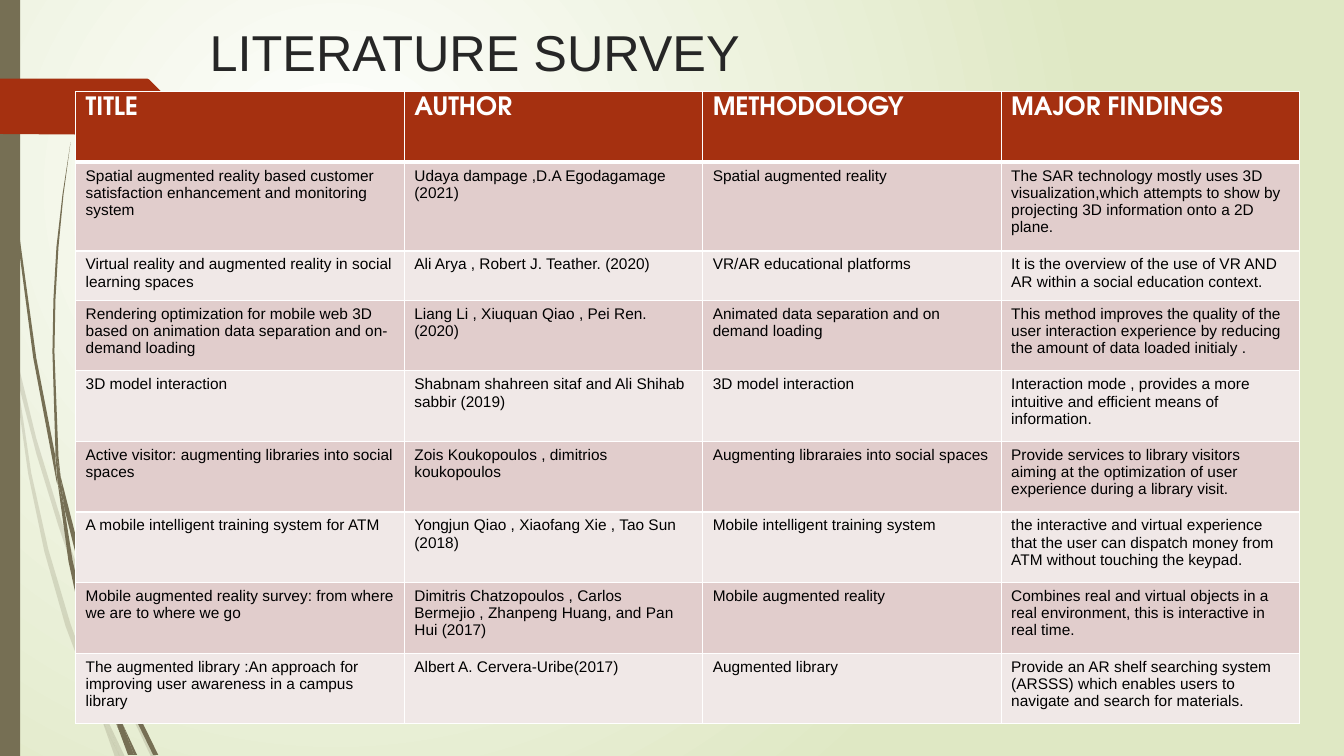
from lxml.etree import SubElement
from pptx import Presentation
from pptx.dml.color import RGBColor
from pptx.enum.shapes import MSO_SHAPE
from pptx.enum.text import MSO_ANCHOR, PP_ALIGN
from pptx.oxml import parse_xml
from pptx.oxml.ns import nsdecls, qn
from pptx.util import Inches, Pt

WHITE = RGBColor(0xFF, 0xFF, 0xFF)
BLACK = RGBColor(0, 0, 0)
CHARCOAL = RGBColor(0x26, 0x26, 0x26)
OLIVE = RGBColor(0x76, 0x6F, 0x54)
RUST = RGBColor(0xA5, 0x30, 0x10)
ROSE = RGBColor(0xE1, 0xCD, 0xCC)
BLUSH = RGBColor(0xF0, 0xE8, 0xE7)
SAGE = RGBColor(0xDF, 0xE8, 0xC4)

COLUMN_WIDTHS = [3.26, 2.96, 2.96, 2.96]
ROW_HEIGHTS = [0.7, 0.88, 0.49] + [0.7] * 6
SURVEY = [
    ("TITLE", "AUTHOR", "METHODOLOGY", "MAJOR FINDINGS"),
    ("Spatial augmented reality based customer satisfaction enhancement and monitoring system",
     "Udaya dampage ,D.A Egodagamage\n(2021)",
     "Spatial augmented reality",
     "The SAR technology mostly uses 3D visualization,which attempts to show by projecting "
     "3D information onto a 2D plane."),
    ("Virtual reality and augmented reality in social learning spaces",
     "Ali Arya , Robert J. Teather. (2020)",
     "VR/AR educational platforms",
     "It is the overview of the use of VR AND AR within a social education context."),
    ("Rendering optimization for mobile web 3D based on animation data separation and "
     "on-demand loading",
     "Liang Li , Xiuquan Qiao , Pei Ren.\n(2020)",
     "Animated data separation and on demand loading",
     "This method improves the quality of the user interaction experience by reducing the "
     "amount of data loaded initialy ."),
    ("3D model interaction",
     "Shabnam shahreen sitaf and Ali Shihab sabbir (2019)",
     "3D model interaction",
     "Interaction mode , provides a more intuitive and efficient means of information."),
    ("Active visitor: augmenting libraries into social spaces",
     "Zois Koukopoulos , dimitrios koukopoulos",
     "Augmenting libraraies into social spaces",
     "Provide services to library visitors aiming at the optimization of user experience "
     "during a library visit."),
    ("A mobile intelligent training system for ATM",
     "Yongjun Qiao , Xiaofang Xie , Tao Sun (2018)",
     "Mobile intelligent training system",
     "the interactive and virtual experience that the user can dispatch money from ATM "
     "without touching the keypad."),
    ("Mobile augmented reality survey: from where we are to where we go",
     "Dimitris Chatzopoulos , Carlos Bermejio , Zhanpeng Huang, and Pan Hui (2017)",
     "Mobile augmented reality",
     "Combines real and virtual objects in a real environment, this is interactive in real time."),
    ("The augmented library :An approach for improving user awareness in a campus library",
     "Albert A. Cervera-Uribe(2017)",
     "Augmented library",
     "Provide an AR shelf searching system (ARSSS) which enables users to navigate and search "
     "for materials."),
]

PALE_BLADES = [
    [(0.11, 3.5), (0.09, 3.22), (0, 2.82), (0, 2.99), (0.1, 3.44)],
    [(0.58, 5.22), (0.84, 5.99), (0.85, 5.86), (0.62, 5.2), (0.36, 4.35), (0.14, 3.45),
     (0.17, 3.76), (0.36, 4.5)],
    [(0.92, 6.07), (0.88, 5.96), (0.88, 6.1), (1.23, 6.94), (1.5, 7.51), (1.55, 7.51),
     (1.27, 6.92)],
    [(1.19, 7.51), (1.24, 7.51), (1.05, 7.11)],
    [(0.93, 6.83), (0.7, 6.19), (0.48, 5.45), (0.31, 4.69), (0.17, 3.76), (0.11, 3.5),
     (0.28, 4.7), (0.44, 5.47), (0.65, 6.21), (0.92, 6.93), (1.01, 7.14), (0.99, 7.07)],
    [(1.01, 7.14), (1.14, 7.51), (1.19, 7.51)],
    [(0.96, 6.92), (0.93, 6.83), (0.99, 7.07), (1.01, 7.14), (1.19, 7.51), (1.05, 7.11)],
]
DARK_BLADES = [
    [(0.07, 1.1), (0.17, 2.33), (0.33, 3.55), (0.56, 4.77), (0.57, 4.81), (0.55, 4.57),
     (0.55, 4.53), (0.36, 3.55), (0.19, 2.32), (0.08, 1.09), (0.05, 0.48), (0.04, 0),
     (0.03, 0), (0.04, 0.48)],
    [(0.88, 5.92), (1.06, 6.45), (1.06, 6.31), (0.93, 5.9), (0.75, 5.31), (0.6, 4.72),
     (0.64, 5.05), (0.75, 5.49)],
    [(1.13, 6.49), (1.1, 6.41), (1.11, 6.56), (1.32, 7.08), (1.52, 7.49), (1.57, 7.49),
     (1.36, 7.06)],
    [(1.1, 6.91), (0.98, 6.57), (0.84, 6.07), (0.72, 5.56), (0.64, 5.05), (0.57, 4.77),
     (0.68, 5.57), (0.79, 6.08), (0.93, 6.59), (1.11, 7.08), (1.17, 7.22), (1.16, 7.17)],
    [(0.6, 4.72), (0.58, 4.53), (0.54, 3.49), (0.55, 2.97), (0.58, 2.45), (0.63, 1.93),
     (0.7, 1.41), (0.62, 1.93), (0.56, 2.45), (0.53, 2.97), (0.52, 3.49), (0.55, 4.49)],
    [(1.33, 7.49), (1.36, 7.49), (1.22, 7.19)],
    [(0.57, 4.77), (0.64, 5.05), (0.6, 4.72), (0.55, 4.49), (0.55, 4.53)],
    [(1.17, 7.22), (1.27, 7.49), (1.31, 7.49)],
    [(1.16, 7.06), (1.1, 6.91), (1.16, 7.17), (1.17, 7.22), (1.3, 7.49), (1.33, 7.49),
     (1.22, 7.19)],
]
PAGE_TAG = [(1.73, 1.08), (1.48, 1.33), (1.46, 1.34), (0, 1.33), (0, 0.78), (1.46, 0.78),
            (1.48, 0.79), (1.73, 1.04)]


def paint_background(page):
    page.background.fill.solid()
    properties = page.background.fill._xPr
    properties.remove(properties.find(qn("a:solidFill")))
    properties.insert(0, parse_xml(
        f'<a:gradFill {nsdecls("a")} rotWithShape="1"><a:gsLst>'
        f'<a:gs pos="0"><a:srgbClr val="{WHITE}"/></a:gs>'
        f'<a:gs pos="100000"><a:srgbClr val="{SAGE}"/></a:gs></a:gsLst>'
        '<a:path path="circle"><a:fillToRect l="50000" t="50000" r="100000" b="100000"/>'
        '</a:path></a:gradFill>'))


def paint_shape(shape, color, opacity=100):
    shape.shadow.inherit = False
    shape.fill.solid()
    shape.fill.fore_color.rgb = color
    shape.line.fill.background()
    if opacity < 100:
        swatch = shape._element.spPr.find(qn("a:solidFill"))[0]
        SubElement(swatch, qn("a:alpha"), val=str(opacity * 1000))


def add_outline(page, points, color, opacity=100):
    corners = [(Inches(x), Inches(y)) for x, y in points]
    builder = page.shapes.build_freeform(*corners[0])
    builder.add_line_segments(corners[1:], close=True)
    paint_shape(builder.convert_to_shape(), color, opacity)


def format_text(frame, size, font_name, color, bold=False):
    for para in frame.paragraphs:
        para.alignment = PP_ALIGN.LEFT
        for span in para.runs:
            span.font.color.rgb = color
            for name, value in {"size": Pt(size), "name": font_name, "bold": bold}.items():
                setattr(span.font, name, value)


def set_title(page, text):
    title = page.shapes.title
    place = {"left": 1.98, "top": 0.16, "width": 10.61, "height": 0.87}
    for name, value in place.items():
        setattr(title, name, Inches(value))
    title.text_frame.text = text
    title.text_frame.vertical_anchor = MSO_ANCHOR.TOP
    format_text(title.text_frame, 36, "Arial", CHARCOAL)


def set_borders(cell, widths):
    properties = cell._tc.get_or_add_tcPr()
    for side, width in widths.items():
        line = SubElement(properties, qn(f"a:ln{side}"), w=str(Pt(width)))
        fill = SubElement(line, qn("a:solidFill"))
        SubElement(fill, qn("a:srgbClr"), val=str(WHITE))


def add_survey_table(page):
    frame = page.shapes.add_table(
        len(ROW_HEIGHTS), len(COLUMN_WIDTHS), Inches(0.75), Inches(0.91),
        Inches(sum(COLUMN_WIDTHS)), Inches(sum(ROW_HEIGHTS)))
    table = frame.table
    for column, width in zip(table.columns, COLUMN_WIDTHS):
        column.width = Inches(width)
    for index, (row, height, texts) in enumerate(zip(table.rows, ROW_HEIGHTS, SURVEY)):
        row.height = Inches(height)
        header = index == 0
        borders = {"L": 1, "R": 1, "T": 3 if index == 1 else 1, "B": 3 if header else 1}
        for cell, text in zip(row.cells, texts):
            cell.text = text
            set_borders(cell, borders)
            cell.fill.solid()
            cell.fill.fore_color.rgb = RUST if header else ROSE if index % 2 else BLUSH
            if header:
                format_text(cell.text_frame, 18, "TeX Gyre Adventor", WHITE, True)
            else:
                format_text(cell.text_frame, 11, "Arial", BLACK)


def main():
    deck = Presentation()
    deck.slide_width, deck.slide_height = Inches(13.33), Inches(7.5)
    page = deck.slides.add_slide(deck.slide_layouts[5])
    paint_background(page)
    for blade in PALE_BLADES:
        add_outline(page, blade, OLIVE, 20)
    for blade in DARK_BLADES:
        add_outline(page, blade, OLIVE)
    edge = page.shapes.add_shape(MSO_SHAPE.RECTANGLE, 0, 0, Inches(0.2), Inches(7.5))
    paint_shape(edge, OLIVE)
    add_outline(page, PAGE_TAG, RUST)
    set_title(page, "LITERATURE SURVEY")
    add_survey_table(page)
    deck.save("out.pptx")


if __name__ == "__main__":
    main()
